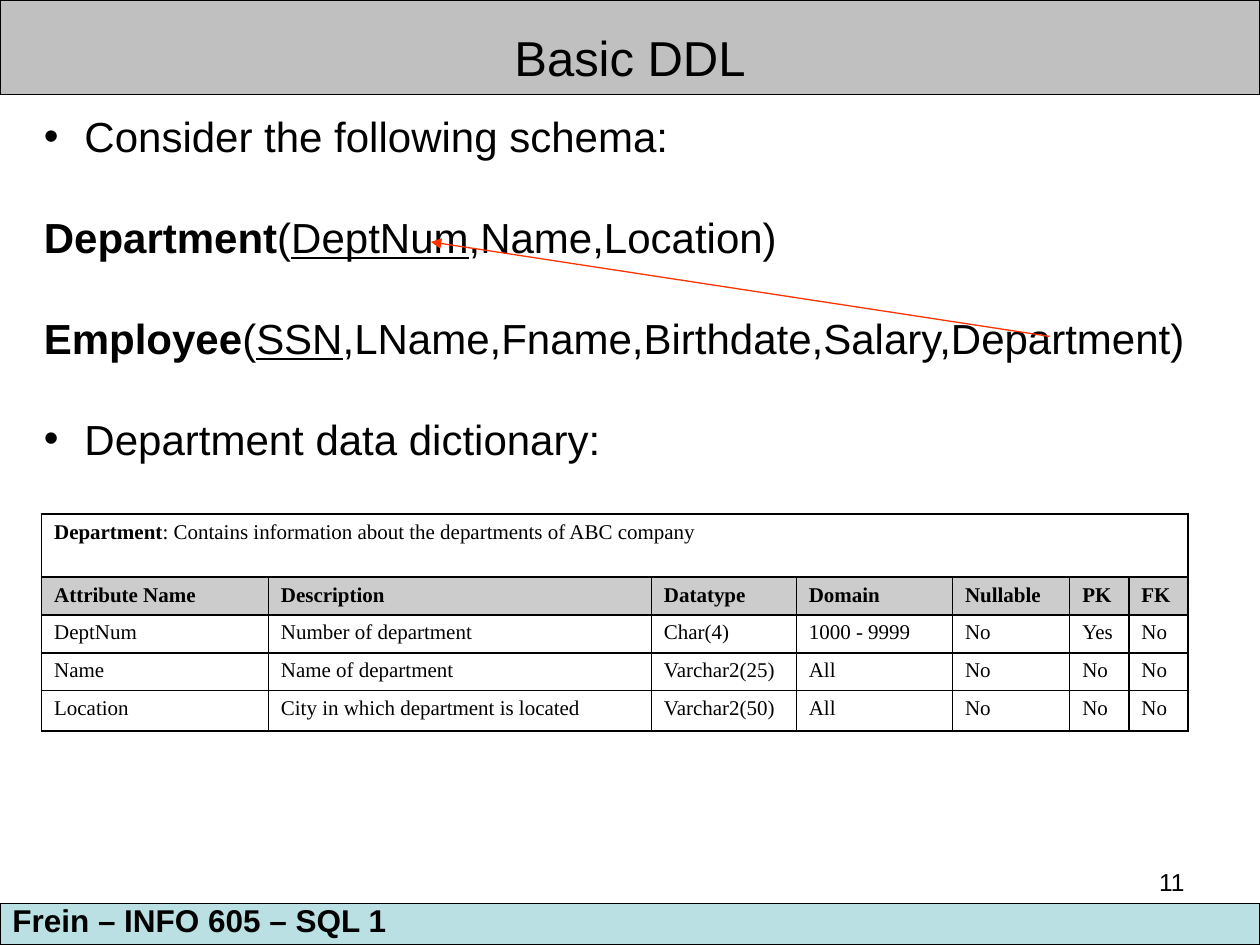
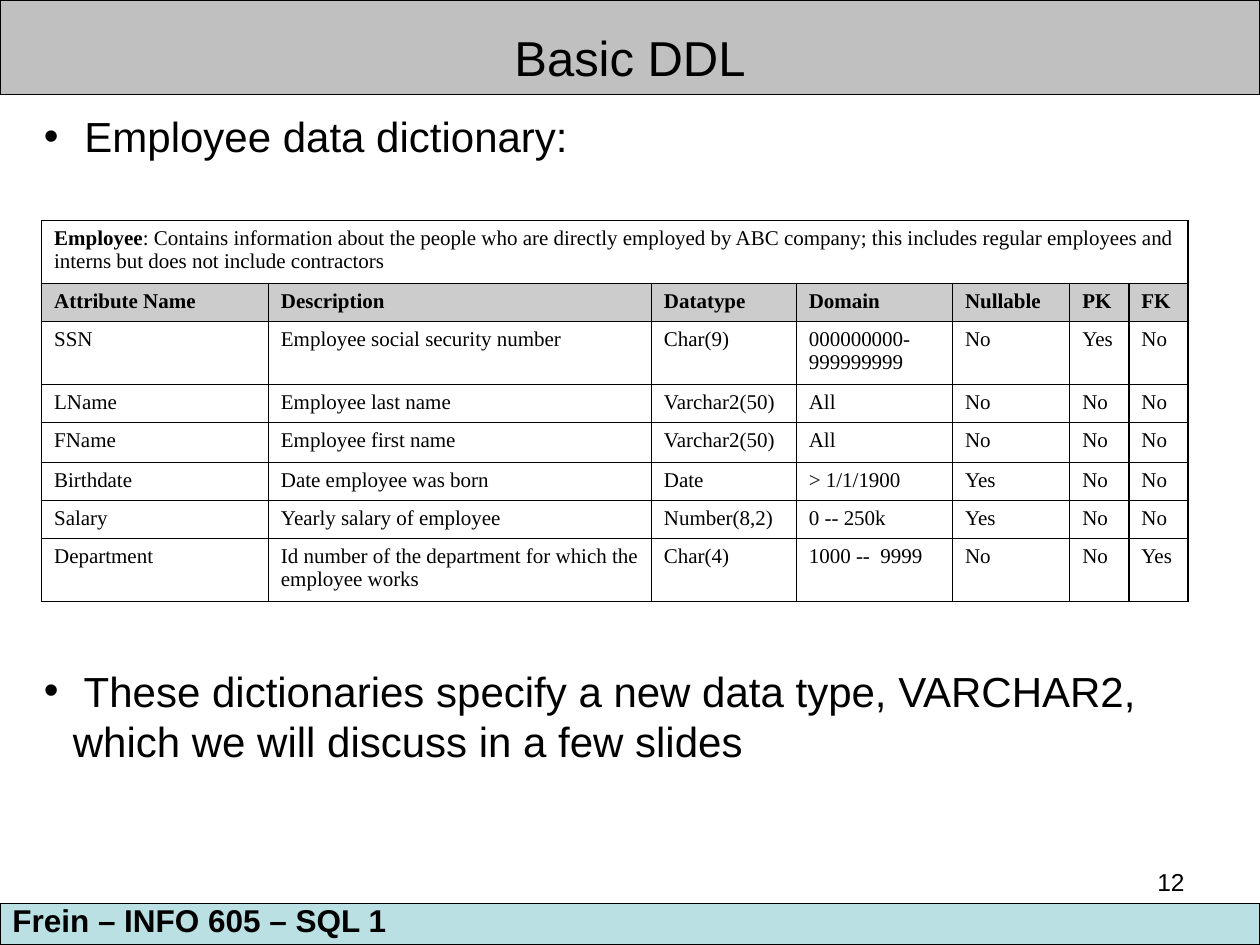
"""Builds two slides on basic DDL with the data dictionaries of a department and an employee table."""
from dataclasses import dataclass

from lxml.etree import SubElement
from pptx import Presentation
from pptx.dml.color import RGBColor
from pptx.enum.shapes import MSO_CONNECTOR as Connector, MSO_SHAPE as Shape
from pptx.enum.text import MSO_ANCHOR as Anchor, PP_ALIGN as Align
from pptx.oxml.ns import qn
from pptx.util import Inches, Pt


@dataclass(frozen=True)
class Theme:
    black: str = "000000"
    white: str = "FFFFFF"
    title_band: str = "C0C0C0"
    footer_band: str = "BBE0E3"
    header_fill: str = "CCCCCC"
    arrow: str = "FF3300"
    font: str = "Arial"
    table_font: str = "Times New Roman"
    title_size: float = 28
    body_size: float = 24
    footer_size: float = 18
    number_size: float = 14
    table_size: float = 12
    line_pitch: float = 28.8


theme = Theme()


def write(frame, paragraphs, size=theme.body_size, font=theme.font, align=Align.LEFT, pitch=None):
    """Fills a frame with paragraphs given as (runs, bulleted, blank lines before)."""
    frame.word_wrap = True
    for index, (runs, bulleted, gap) in enumerate(paragraphs):
        paragraph = frame.paragraphs[0] if index == 0 else frame.add_paragraph()
        paragraph.alignment = align
        if pitch:
            paragraph.line_spacing = Pt(pitch)
            paragraph.space_before = Pt(gap * pitch)
        if bulleted:
            properties = paragraph._p.get_or_add_pPr()
            properties.set("marL", str(Inches(0.23)))
            properties.set("indent", str(-Inches(0.23)))
            SubElement(properties, qn("a:buFont"), typeface=theme.font)
            SubElement(properties, qn("a:buChar"), char="•")
        for text, style in runs:
            run = paragraph.add_run()
            run.text = text
            run.font.name = font
            run.font.size = Pt(size)
            run.font.bold = style == "bold"
            run.font.underline = style == "underline"
            run.font.color.rgb = RGBColor.from_string(theme.black)


def line(text, style=""):
    """Returns a list with one plain paragraph of one run."""
    return [([(text, style)], False, 0)]


columns = [1.8, 3.04, 1.15, 1.24, 0.93, 0.47, 0.47]
headings = ["Attribute Name", "Description", "Datatype", "Domain", "Nullable", "PK", "FK"]

pages = [
    {
        "number": "11",
        "body": [
            ([(" Consider the following schema:", "")], True, 0),
            ([("Department", "bold"), ("(", ""), ("DeptNum", "underline"),
              (",Name,Location)", "")], False, 1),
            ([("Employee", "bold"), ("(", ""), ("SSN", "underline"),
              (",LName,Fname,Birthdate,Salary,Department)", "")], False, 1),
            ([(" Department data dictionary:", "")], True, 1),
        ],
        "body_height": 4.89,
        "arrow": (8.33, 2.67, 3.42, 1.92),
        "table_top": 4.08,
        "row_heights": [0.5, 0.3, 0.3, 0.3, 0.32],
        "caption": ("Department", ": Contains information about the departments of ABC company"),
        "rows": [
            ["DeptNum", "Number of department", "Char(4)", "1000 - 9999", "No", "Yes", "No"],
            ["Name", "Name of department", "Varchar2(25)", "All", "No", "No", "No"],
            ["Location", "City in which department is located", "Varchar2(50)", "All",
             "No", "No", "No"],
        ],
    },
    {
        "number": "12",
        "body": [
            ([(" Employee data dictionary:", "")], True, 0),
            ([(" These dictionaries specify a new data type, VARCHAR2, "
               "which we will discuss in a few slides", "")], True, 10),
        ],
        "body_height": 6.3,
        "arrow": None,
        "table_top": 1.75,
        "row_heights": [0.5, 0.3, 0.5, 0.3, 0.32, 0.3, 0.3, 0.5],
        "caption": ("Employee", ": Contains information about the people who are directly employed "
                    "by ABC company; this includes regular employees and interns but does not "
                    "include contractors"),
        "rows": [
            ["SSN", "Employee social security number", "Char(9)", "000000000-999999999",
             "No", "Yes", "No"],
            ["LName", "Employee last name", "Varchar2(50)", "All", "No", "No", "No"],
            ["FName", "Employee first name", "Varchar2(50)", "All", "No", "No", "No"],
            ["Birthdate", "Date employee was born", "Date", "> 1/1/1900", "Yes", "No", "No"],
            ["Salary", "Yearly salary of employee", "Number(8,2)", "0 -- 250k", "Yes", "No", "No"],
            ["Department", "Id number of the department for which the employee works", "Char(4)",
             "1000 --  9999", "No", "No", "Yes"],
        ],
    },
]

presentation = Presentation()
presentation.slide_width = Inches(10)
presentation.slide_height = Inches(7.5)

for page in pages:
    slide = presentation.slides.add_slide(presentation.slide_layouts[6])
    shapes = slide.shapes

    number = shapes.add_textbox(Inches(7.17), Inches(6.83), Inches(2.33), Inches(0.52))
    write(number.text_frame, line(page["number"]), size=theme.number_size, align=Align.RIGHT)

    for top, height, color in [(0, 0.75, theme.title_band), (7.17, 0.33, theme.footer_band)]:
        band = shapes.add_shape(Shape.RECTANGLE, 0, Inches(top), Inches(10), Inches(height))
        band.shadow.inherit = False
        band.fill.solid()
        band.fill.fore_color.rgb = RGBColor.from_string(color)
        band.line.color.rgb = RGBColor.from_string(theme.black)
        band.line.width = Pt(0.75)

    footer = shapes.add_textbox(0, Inches(7.1), Inches(8), Inches(0.4))
    write(footer.text_frame, line("Frein – INFO 605 – SQL 1", "bold"), size=theme.footer_size)

    title = shapes.add_textbox(Inches(0.25), Inches(0.17), Inches(9.5), Inches(0.57))
    write(title.text_frame, line("Basic DDL"), size=theme.title_size, align=Align.CENTER)

    body = shapes.add_textbox(Inches(0.25), Inches(0.83), Inches(9.5), Inches(page["body_height"]))
    write(body.text_frame, page["body"], pitch=theme.line_pitch)

    if page["arrow"]:
        arrow = shapes.add_connector(Connector.STRAIGHT, *map(Inches, page["arrow"]))
        arrow.line.color.rgb = RGBColor.from_string(theme.arrow)
        arrow.line.width = Pt(0.75)
        SubElement(arrow.line._get_or_add_ln(), qn("a:tailEnd"), type="triangle")
        SubElement(arrow._element.spPr, qn("a:effectLst"))

    heights = page["row_heights"]
    table = shapes.add_table(len(heights), len(columns), Inches(0.33), Inches(page["table_top"]),
                             Inches(sum(columns)), Inches(sum(heights))).table
    for column, width in zip(table.columns, columns):
        column.width = Inches(width)
    for row, height in zip(table.rows, heights):
        row.height = Inches(height)
    table.cell(0, 0).merge(table.cell(0, len(columns) - 1))

    name, description = page["caption"]
    caption = [([(name, "bold"), (description, "")], False, 0)]
    contents = [[caption], [line(heading, "bold") for heading in headings]]
    contents += [[line(value) for value in values] for values in page["rows"]]
    for row_index, row in enumerate(table.rows):
        for cell, content in zip(row.cells, contents[row_index]):
            write(cell.text_frame, content, size=theme.table_size, font=theme.table_font)
        for cell in row.cells:
            cell.vertical_anchor = Anchor.TOP
            properties = cell._tc.get_or_add_tcPr()
            for side in ("a:lnL", "a:lnR", "a:lnT", "a:lnB"):
                border = SubElement(properties, qn(side), w=str(Pt(1)))
                SubElement(SubElement(border, qn("a:solidFill")), qn("a:srgbClr"), val=theme.black)
            cell.fill.solid()
            fill = theme.header_fill if row_index == 1 else theme.white
            cell.fill.fore_color.rgb = RGBColor.from_string(fill)

presentation.save("out.pptx")
